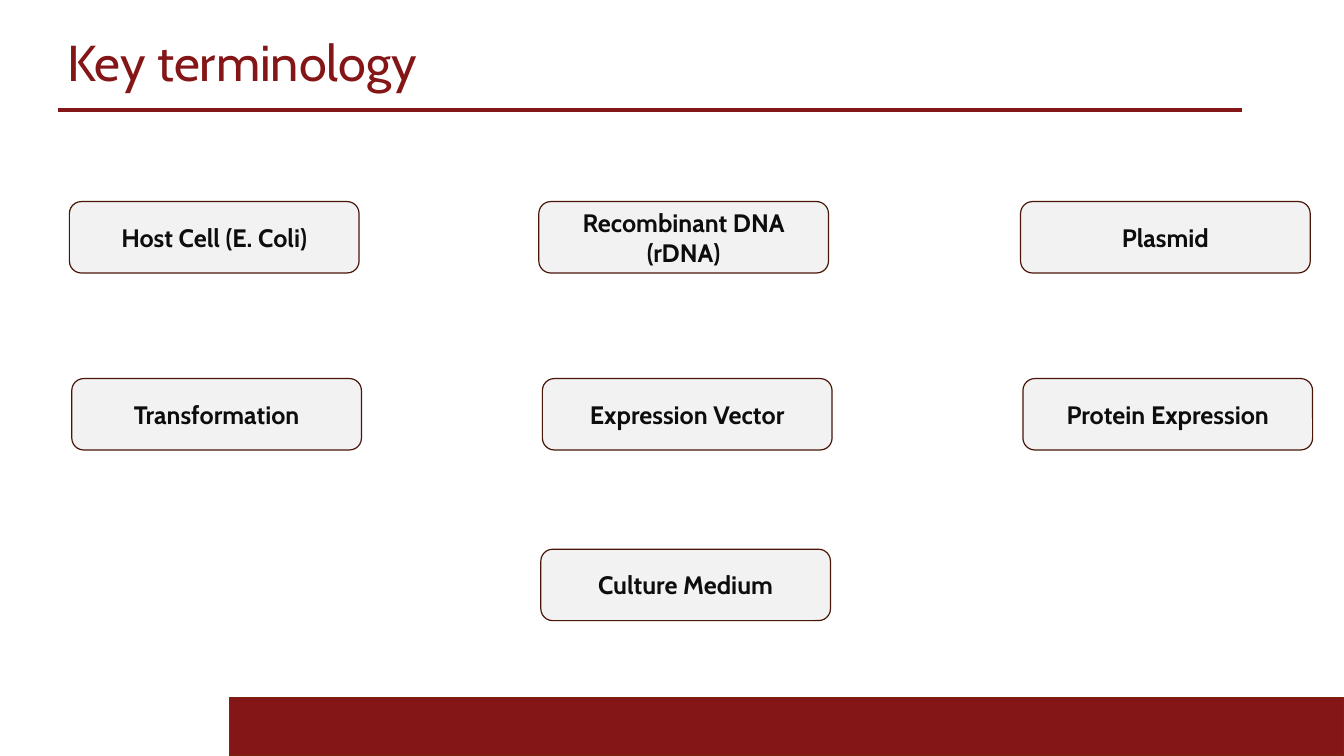
import pptx
import pptx.util
import pptx.dml.color
import pptx.enum.shapes
import pptx.enum.text
import pptx.oxml.ns
from dataclasses import dataclass
from lxml import etree
from pptx.util import Cm


@dataclass(frozen=True)
class Theme:
    font: str = "Cabin"
    crimson: str = "841617"
    band_line: str = "7A240B"
    box_fill: str = "F2F2F2"
    box_line: str = "481507"
    box_text: str = "0D0D0D"
    title_size: int = 36
    term_size: int = 18
    outline: float = 0.85
    rule: float = 2.5


class SlideBuilder:
    def __init__(self, slide, theme):
        self.slide = slide
        self.theme = theme

    def color(self, value):
        return pptx.dml.color.RGBColor.from_string(value)

    def set_text(self, shape, text, size, color, align, bold=False):
        frame = shape.text_frame
        frame.text = text
        frame.word_wrap = True
        frame.auto_size = pptx.enum.text.MSO_AUTO_SIZE.NONE
        frame.vertical_anchor = pptx.enum.text.MSO_ANCHOR.MIDDLE
        paragraph = frame.paragraphs[0]
        paragraph.alignment = align
        font = paragraph.runs[0].font
        font.name = self.theme.font
        font.size = pptx.util.Pt(size)
        font.bold = bold
        font.color.rgb = self.color(color)
        return paragraph

    def title(self, text, left, top, width, height):
        shape = self.slide.shapes.title
        shape.left, shape.top = Cm(left), Cm(top)
        shape.width, shape.height = Cm(width), Cm(height)
        paragraph = self.set_text(shape, text, self.theme.title_size,
                                  self.theme.crimson,
                                  pptx.enum.text.PP_ALIGN.LEFT)
        paragraph.line_spacing = 0.9
        paragraph.space_before = pptx.util.Pt(12)

    def block(self, kind, left, top, width, height, fill, line):
        shape = self.slide.shapes.add_shape(
            kind, Cm(left), Cm(top), Cm(width), Cm(height))
        shape.shadow.inherit = False
        shape.fill.solid()
        shape.fill.fore_color.rgb = self.color(fill)
        shape.line.color.rgb = self.color(line)
        shape.line.width = pptx.util.Pt(self.theme.outline)
        return shape

    def band(self, left, top, width, height):
        self.block(pptx.enum.shapes.MSO_SHAPE.RECTANGLE, left, top, width,
                   height, self.theme.crimson, self.theme.band_line)

    def term(self, text, left, top, width, height):
        shape = self.block(pptx.enum.shapes.MSO_SHAPE.ROUNDED_RECTANGLE,
                           left, top, width, height,
                           self.theme.box_fill, self.theme.box_line)
        self.set_text(shape, text, self.theme.term_size, self.theme.box_text,
                      pptx.enum.text.PP_ALIGN.CENTER, bold=True)

    def rule(self, left, right, top):
        line = self.slide.shapes.add_connector(
            pptx.enum.shapes.MSO_CONNECTOR.STRAIGHT,
            Cm(left), Cm(top), Cm(right), Cm(top))
        line.line.color.rgb = self.color(self.theme.crimson)
        line.line.width = pptx.util.Pt(self.theme.rule)
        etree.SubElement(line._element.spPr, pptx.oxml.ns.qn("a:effectLst"))


def main():
    presentation = pptx.Presentation()
    presentation.slide_width, presentation.slide_height = Cm(33.87), Cm(19.05)
    slide = presentation.slides.add_slide(presentation.slide_layouts[5])
    builder = SlideBuilder(slide, Theme())

    # Footer band, heading and rule
    builder.band(5.79, 17.58, 28.08, 1.47)
    builder.rule(1.45, 31.29, 2.77)
    builder.title("Key terminology", 1.45, 0.74, 29.74, 1.8)

    # Rows of terms: top, then the left edge of each box
    rows = [
        (5.08, {"Host Cell (E. Coli)": 1.75,
                "Recombinant DNA (rDNA)": 13.58,
                "Plasmid": 25.72}),
        (9.54, {"Transformation": 1.81,
                "Expression Vector": 13.67,
                "Protein Expression": 25.78}),
        (13.84, {"Culture Medium": 13.63}),
    ]
    for top, terms in rows:
        for text, left in terms.items():
            builder.term(text, left, top, 7.3, 1.8)

    presentation.save("out.pptx")


if __name__ == "__main__":
    main()
